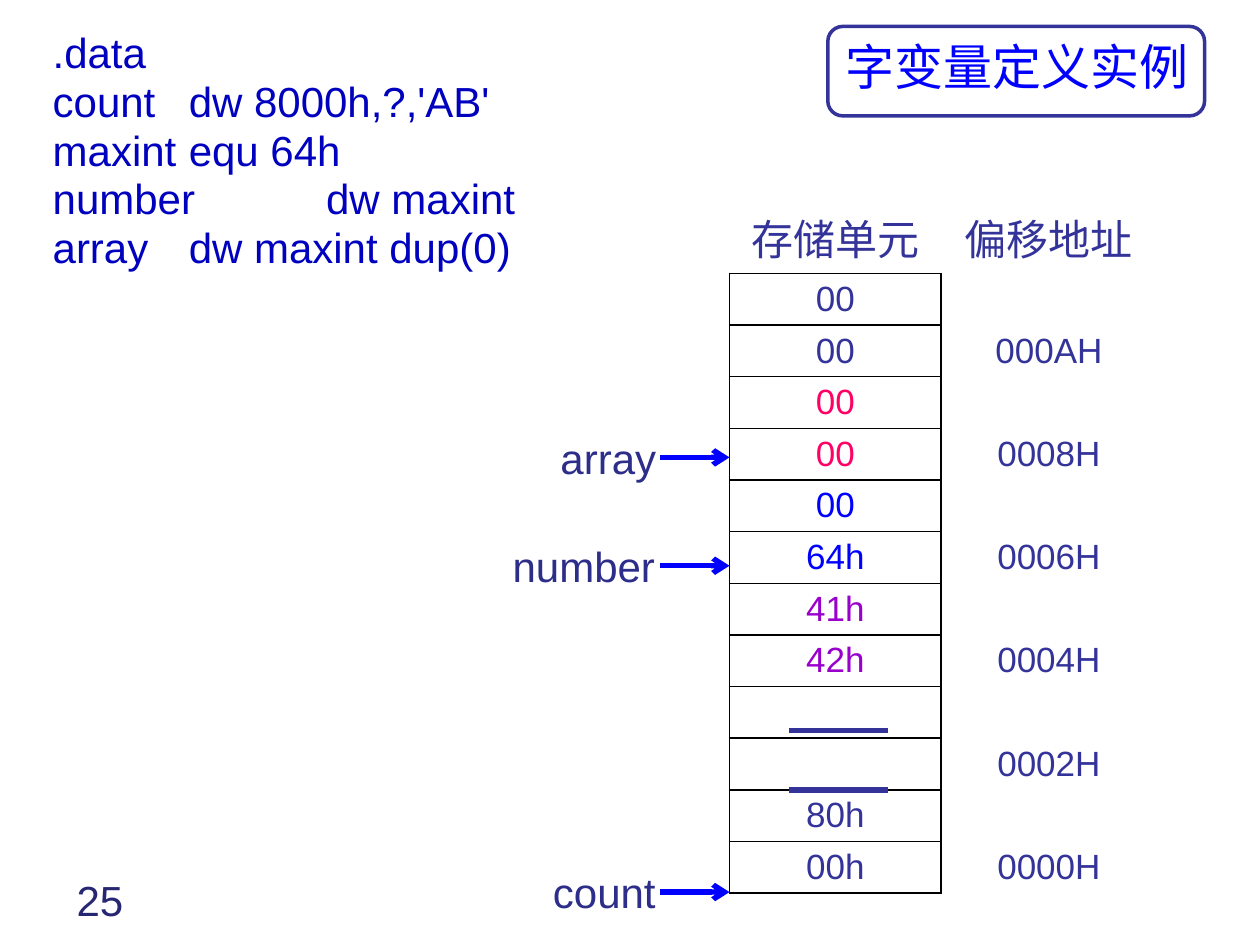
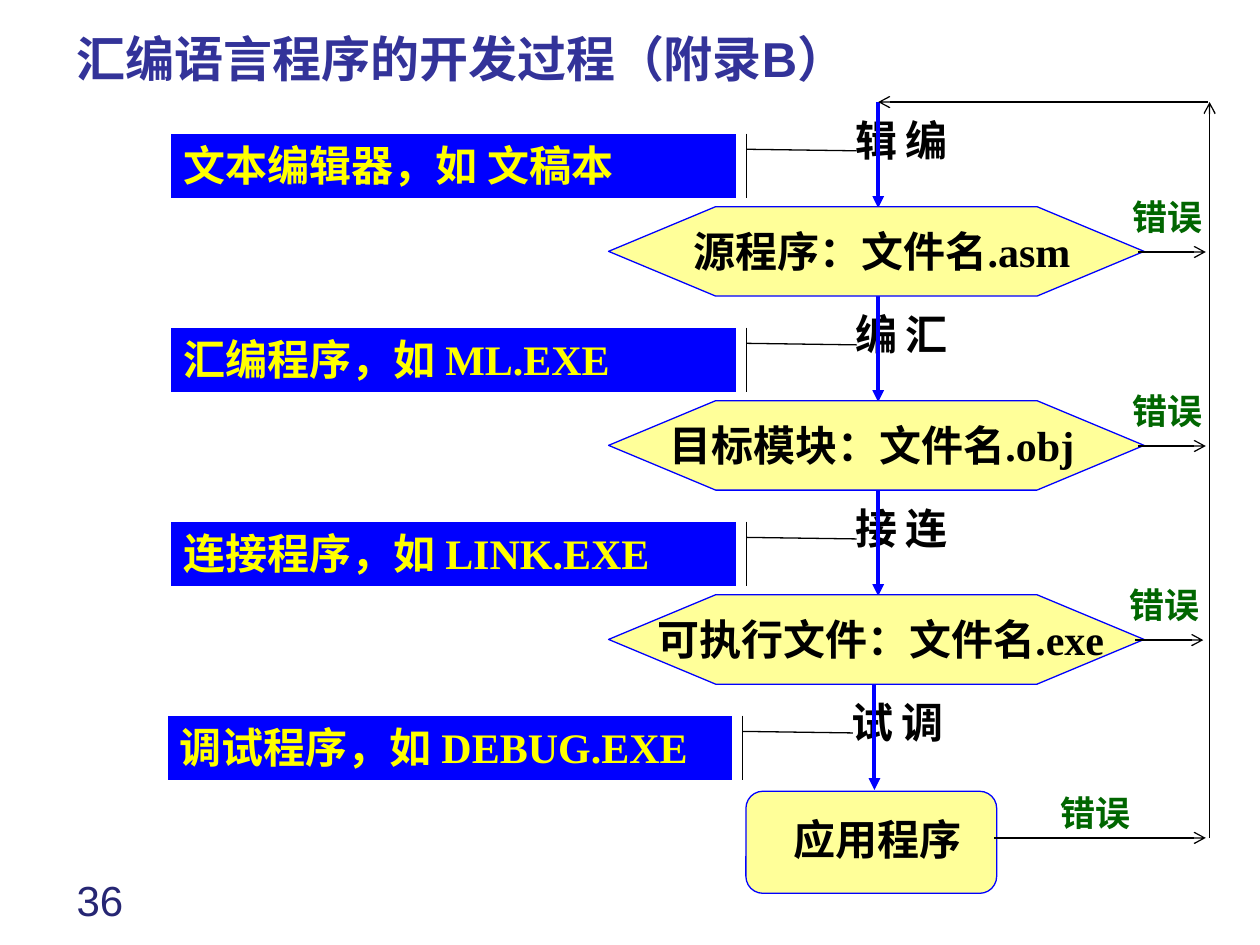
from dataclasses import dataclass

from lxml import etree
from pptx import Presentation
from pptx.dml.color import RGBColor
from pptx.enum.shapes import MSO_CONNECTOR, MSO_SHAPE
from pptx.enum.text import MSO_ANCHOR, MSO_AUTO_SIZE, PP_ALIGN
from pptx.oxml.ns import qn
from pptx.util import Inches, Pt

# Enum members
STRAIGHT = MSO_CONNECTOR.STRAIGHT
ROUNDED = MSO_SHAPE.ROUNDED_RECTANGLE
CALLOUT = MSO_SHAPE.LINE_CALLOUT_1_ACCENT_BAR
PREPARATION = MSO_SHAPE.FLOWCHART_PREPARATION
ALTERNATE = MSO_SHAPE.FLOWCHART_ALTERNATE_PROCESS
TOP, MIDDLE = MSO_ANCHOR.TOP, MSO_ANCHOR.MIDDLE
LEFT, CENTER, JUSTIFY = PP_ALIGN.LEFT, PP_ALIGN.CENTER, PP_ALIGN.JUSTIFY
NO_FIT, GROW = MSO_AUTO_SIZE.NONE, MSO_AUTO_SIZE.SHAPE_TO_FIT_TEXT

# Colours and fonts
BLACK = RGBColor(0x00, 0x00, 0x00)
BLUE = RGBColor(0x00, 0x00, 0xFF)
INDIGO = RGBColor(0x33, 0x33, 0x99)
LABEL_BLUE = RGBColor(0x2D, 0x2D, 0x8A)
NUMBER_BLUE = RGBColor(0x26, 0x26, 0x73)
CODE_BLUE = RGBColor(0x00, 0x00, 0xBF)
PINK = RGBColor(0xFF, 0x00, 0x66)
PURPLE = RGBColor(0x99, 0x00, 0xCC)
YELLOW = RGBColor(0xFF, 0xFF, 0x00)
PALE_YELLOW = RGBColor(0xFF, 0xFF, 0x99)
GREEN = RGBColor(0x00, 0x66, 0x00)
SANS, SERIF, CHINESE = "Arial", "Times New Roman", "Noto Sans CJK SC"


@dataclass(frozen=True)
class Style:
    size: int
    color: RGBColor
    font: str = SANS
    bold: bool = False


@dataclass(frozen=True)
class Pointer:
    name: str
    left: float
    width: float
    top: float


@dataclass(frozen=True)
class Stage:
    operation: str
    tool: str
    shift: float = 0


@dataclass(frozen=True)
class Product:
    name: str
    left: float
    width: float
    error_shift: float = 0


PAGE_NUMBER = Style(24, NUMBER_BLUE)
CODE = Style(24, CODE_BLUE)
LABEL = Style(24, LABEL_BLUE)
FLOW = Style(24, BLACK, SERIF, True)
TOOL = Style(24, YELLOW, SERIF, True)
ERROR = Style(20, GREEN, SERIF, True)

CODE_LINES = [".data", "count\tdw 8000h,?,'AB'", "maxint\tequ 64h",
              "number\tdw maxint", "array\tdw maxint dup(0)"]
MEMORY = [
    ("00", INDIGO, ""), ("00", INDIGO, "000AH"),
    ("00", PINK, ""), ("00", PINK, "0008H"),
    ("00", BLUE, ""), ("64h", BLUE, "0006H"),
    ("41h", PURPLE, ""), ("42h", PURPLE, "0004H"),
    ("", INDIGO, ""), ("", INDIGO, "0002H"),
    ("80h", INDIGO, ""), ("00h", INDIGO, "0000H"),
]
POINTERS = [Pointer("array", 4.35, 0.97, 3.38), Pointer("number", 3.97, 1.34, 4.24),
            Pointer("count", 4.29, 1.03, 6.83)]
STAGES = [Stage("编辑", "文本编辑器，如 文稿本"), Stage("汇编", "汇编程序，如 ML.EXE"),
          Stage("连接", "连接程序，如 LINK.EXE"),
          Stage("调试", "调试程序，如 DEBUG.EXE", -0.03)]
PRODUCTS = [Product("源程序：文件名.asm", 5.2, 3.6),
            Product("目标模块：文件名.obj", 5.12, 3.6),
            Product("可执行文件：文件名.exe", 4.97, 4.04, -0.02)]
STAGE_STEP = 1.54


# Shared helpers
def place(shape, left: float, top: float, width: float, height: float) -> None:
    shape.left, shape.top = Inches(left), Inches(top)
    shape.width, shape.height = Inches(width), Inches(height)


def format_text(frame, style: Style, align=LEFT) -> None:
    for para in frame.paragraphs:
        para.alignment = align
        for span in para.runs:
            font = span.font
            font.size, font.bold, font.name = Pt(style.size), style.bold, style.font
            font.color.rgb = style.color
            east_asian = etree.SubElement(span._r.rPr, qn("a:ea"))
            east_asian.set("typeface", CHINESE)


def add_text(page, text: str, left: float, top: float, width: float, height: float,
             style: Style, align=LEFT, wrap: bool = True, fit=GROW):
    box = page.shapes.add_textbox(Inches(left), Inches(top), Inches(width), Inches(height))
    frame = box.text_frame
    frame.word_wrap, frame.auto_size = wrap, fit
    frame.text = text
    format_text(frame, style, align)
    return box


def add_block(page, kind, left: float, top: float, width: float, height: float,
              fill: RGBColor | None, line: RGBColor, line_width: float = 0.75):
    block = page.shapes.add_shape(kind, Inches(left), Inches(top),
                                  Inches(width), Inches(height))
    block.shadow.inherit = False
    if fill is None:
        block.fill.background()
    else:
        block.fill.solid()
        block.fill.fore_color.rgb = fill
    block.line.color.rgb = line
    block.line.width = Pt(line_width)
    return block


def add_line(page, start: tuple[float, float], end: tuple[float, float],
             color: RGBColor, width: float, arrow: str = "") -> None:
    line = page.shapes.add_connector(STRAIGHT, *map(Inches, start + end))
    line.line.color.rgb = color
    line.line.width = Pt(width)
    properties = line.element.spPr
    if arrow:
        etree.SubElement(properties.find(qn("a:ln")), qn("a:tailEnd")).set("type", arrow)
    etree.SubElement(properties, qn("a:effectLst"))


def start_page(deck, number: str, title: str, area: tuple, style: Style):
    page = deck.slides.add_slide(deck.slide_layouts[5])
    heading = page.shapes.title
    place(heading, *area)
    frame = heading.text_frame
    frame.text = title
    frame.word_wrap, frame.auto_size = True, NO_FIT
    frame.vertical_anchor = MIDDLE
    format_text(frame, style)
    add_text(page, number, 0.51, 6.89, 0.79, 0.5, PAGE_NUMBER)
    return page


def add_tab_stops(para, positions: list[float]) -> None:
    tabs = etree.SubElement(para._p.get_or_add_pPr(), qn("a:tabLst"))
    for position in positions:
        etree.SubElement(tabs, qn("a:tab"), pos=str(Inches(position)), algn="l")


def set_borders(cell, sides: str) -> None:
    properties = cell._tc.get_or_add_tcPr()
    for side in "LRTB":
        border = etree.SubElement(properties, qn(f"a:ln{side}"), w=str(Pt(1)))
        if side in sides:
            fill = etree.SubElement(border, qn("a:solidFill"))
            etree.SubElement(fill, qn("a:srgbClr"), val=str(BLACK))
        else:
            etree.SubElement(border, qn("a:noFill"))


def fill_cell(cell, text: str, style: Style, sides: str) -> None:
    set_borders(cell, sides)
    cell.fill.background()
    cell.vertical_anchor = MIDDLE
    cell.margin_top = cell.margin_bottom = Inches(0.03)
    if text:
        cell.text_frame.text = text
        format_text(cell.text_frame, style, CENTER)


# Word variables in memory
def build_memory_page(deck) -> None:
    page = start_page(deck, "25", "字变量定义实例", (6.61, 0.17, 2.95, 0.71),
                      Style(28, BLUE, CHINESE))
    add_block(page, ROUNDED, 6.57, 0.21, 2.99, 0.71, None, INDIGO, 2)

    # Data segment listing
    code = add_text(page, "\n".join(CODE_LINES), 0.32, 0.24, 5.46, 2.01, CODE,
                    JUSTIFY, fit=NO_FIT)
    for index, para in enumerate(code.text_frame.paragraphs):
        para.line_spacing = 0.8
        if index:
            para.space_before = Pt(4.8)
        add_tab_stops(para, [1.08, 2.17])

    # Memory cells and their offsets
    table = page.shapes.add_table(len(MEMORY) + 1, 2, Inches(5.79), Inches(1.59),
                                  Inches(3.39), Inches(5.5)).table
    table.first_row = table.horz_banding = False
    table.columns[0].width, table.columns[1].width = Inches(1.68), Inches(1.71)
    for row in table.rows:
        row.height = Inches(0.41)
    table.rows[0].height = Inches(0.58)
    header = Style(24, INDIGO)
    fill_cell(table.cell(0, 0), "存储单元", header, "B")
    fill_cell(table.cell(0, 1), "偏移地址", header, "")
    for index, (value, color, offset) in enumerate(MEMORY, 1):
        fill_cell(table.cell(index, 0), value, Style(20, color), "LRTB")
        fill_cell(table.cell(index, 1), offset, Style(20, INDIGO), "L")

    # Variable pointers and undefined bytes
    for pointer in POINTERS:
        add_text(page, pointer.name, pointer.left, pointer.top, pointer.width, 0.5,
                 LABEL, wrap=False)
        level = pointer.top + 0.25
        add_line(page, (5.24, level), (5.79, level), BLUE, 3, "arrow")
    for level in (5.8, 6.27):
        add_line(page, (6.26, level), (7.05, level), INDIGO, 3)


# Development process
def add_stage(page, stage: Stage, drop: float) -> None:
    operation = add_text(page, stage.operation, 6.99 + stage.shift, 0.85 + drop,
                         0.6, 0.79, FLOW)
    operation.element.txBody.bodyPr.set("vert", "eaVert")
    axis = 6.97 + stage.shift
    add_line(page, (axis, 0.81 + drop), (axis, 1.65 + drop), BLUE, 2.25, "triangle")
    tool = add_block(page, CALLOUT, 1.36 + stage.shift, 1.06 + drop, 4.48, 0.51, BLUE, BLACK)
    for index, value in enumerate((0.245, 1.019, 0.269, 1.214)):
        tool.adjustments[index] = value
    tool.text_frame.text = stage.tool
    tool.text_frame.word_wrap = True
    tool.text_frame.vertical_anchor = TOP
    format_text(tool.text_frame, TOOL)


def add_error(page, left: float, top: float) -> None:
    add_text(page, "错误", left, top, 0.91, 0.43, ERROR, CENTER)


def add_product(page, product: Product, drop: float) -> None:
    add_block(page, PREPARATION, 4.83, 1.64 + drop, 4.25, 0.71, PALE_YELLOW, BLUE)
    add_text(page, product.name, product.left, 1.74 + drop, product.width, 0.5, FLOW, CENTER)
    shift = product.error_shift
    add_line(page, (9.03 + shift, 2 + drop), (9.57 + shift, 2 + drop), BLACK, 0.75, "arrow")
    add_error(page, 8.81 + shift, 1.5 + drop)


def build_process_page(deck) -> None:
    page = start_page(deck, "36", "汇编语言程序的开发过程（附录B）", (0.51, 0.24, 6.95, 0.52),
                      Style(28, INDIGO, bold=True))
    page.shapes.title.text_frame.paragraphs[0].line_spacing = 0.8
    for index, stage in enumerate(STAGES):
        add_stage(page, stage, index * STAGE_STEP)
    for index, product in enumerate(PRODUCTS):
        add_product(page, product, index * STAGE_STEP)

    # Finished application
    add_block(page, ALTERNATE, 5.92, 6.28, 1.99, 0.81, PALE_YELLOW, BLUE)
    add_text(page, "应用程序", 6.05, 6.41, 1.83, 0.5, FLOW, CENTER)
    add_error(page, 8.24, 6.23)

    # Way back to editing
    for start, end in [((7.89, 6.65), (9.57, 6.65)), ((9.6, 6.65), (9.6, 0.81)),
                       ((9.59, 0.81), (6.97, 0.81))]:
        add_line(page, start, end, BLACK, 0.75, "arrow")


def main() -> None:
    deck = Presentation()
    deck.slide_width, deck.slide_height = Inches(10), Inches(7.5)
    build_memory_page(deck)
    build_process_page(deck)
    deck.save("out.pptx")


if __name__ == "__main__":
    main()
